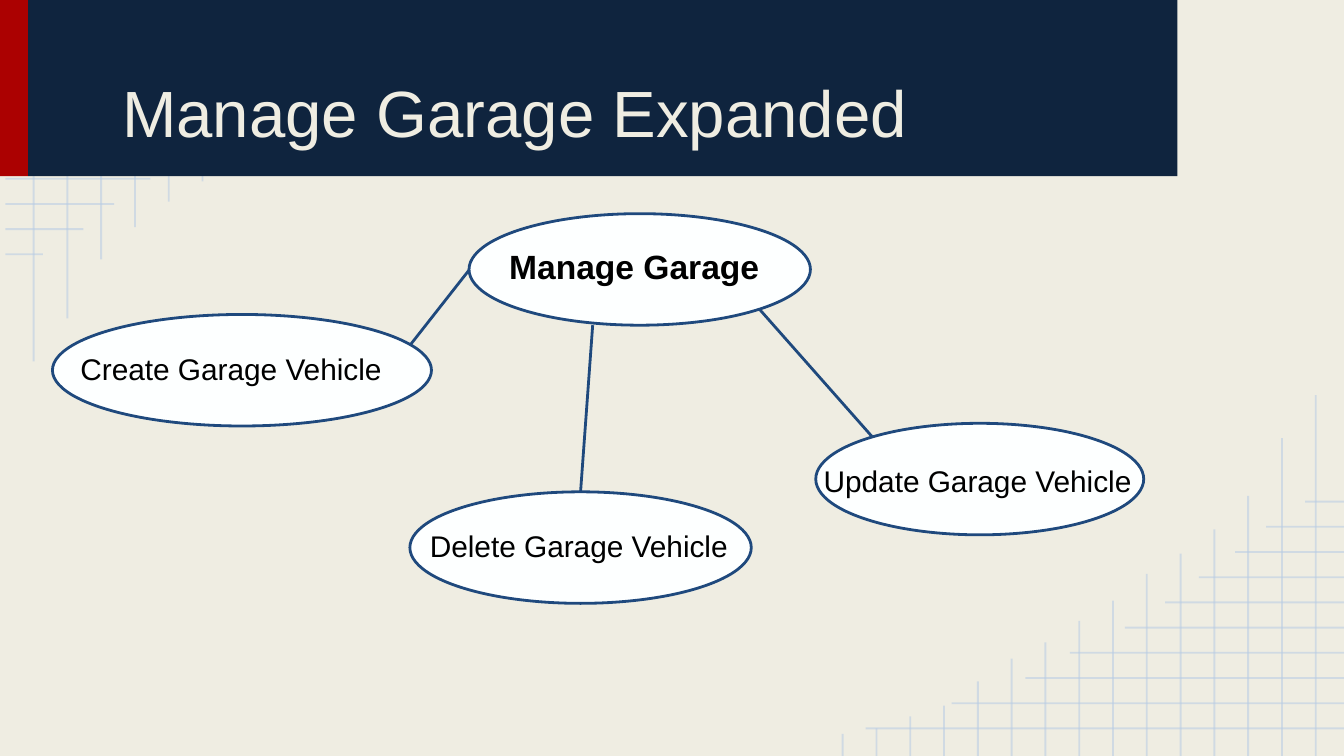
from lxml.etree import SubElement
from pptx import Presentation
from pptx.dml.color import RGBColor
from pptx.enum.shapes import MSO_CONNECTOR, MSO_SHAPE
from pptx.enum.text import MSO_ANCHOR
from pptx.oxml.ns import qn
from pptx.util import Inches, Pt

COLORS = {
    "background": "EFEDE2",
    "grid": "B7CCE4",
    "accent": "AB0101",
    "header": "0F243E",
    "bubble": "FDFFFF",
    "outline": "1F497D",
    "text": "000000",
}
WIDTH = 10
HEIGHT = WIDTH * 9 / 16
GRID_X = (9.79 - 6.27) / 14
GRID_Y = 3 / 16


class Canvas:
    font = "Arial"
    inset = 0.1

    def __init__(self, slide):
        self.slide = slide
        self.paint(slide.background.fill, "background")

    def paint(self, fill, color):
        fill.solid()
        fill.fore_color.rgb = RGBColor.from_string(COLORS[color])

    def shape(self, kind, box, fill, outline=None):
        shape = self.slide.shapes.add_shape(kind, *map(Inches, box))
        shape.shadow.inherit = False
        self.paint(shape.fill, fill)
        if outline:
            self.paint(shape.line.fill, outline)
            shape.line.width = Pt(1.5)
        else:
            shape.line.fill.background()

    def line(self, start, end, color="outline", width=1.5, opacity=None):
        connector = self.slide.shapes.add_connector(
            MSO_CONNECTOR.STRAIGHT, *map(Inches, (*start, *end)))
        self.paint(connector.line.fill, color)
        connector.line.width = Pt(width)
        properties = connector._element.spPr
        if opacity:
            color_element = next(properties.iter(qn("a:srgbClr")))
            SubElement(color_element, qn("a:alpha"), val=str(opacity * 1000))
        SubElement(properties, qn("a:effectLst"))

    def grid_line(self, start, end):
        self.line(start, end, "grid", 1, 54)

    def text(self, box, words, size, color="text", bold=False,
             indent=0, anchor=MSO_ANCHOR.TOP):
        frame = self.slide.shapes.add_textbox(*map(Inches, box)).text_frame
        frame.word_wrap = True
        frame.vertical_anchor = anchor
        frame.margin_left = Inches(self.inset + indent)
        frame.margin_right = frame.margin_top = frame.margin_bottom = Inches(self.inset)
        run = frame.paragraphs[0].add_run()
        run.text = words
        run.font.name = self.font
        run.font.size = Pt(size)
        run.font.bold = bold
        self.paint(run.font.fill, color)


presentation = Presentation()
presentation.slide_width = Inches(WIDTH)
presentation.slide_height = Inches(HEIGHT)
canvas = Canvas(presentation.slides.add_slide(presentation.slide_layouts[6]))

for row, right in enumerate([1.12, 0.85, 0.62, 0.32]):
    y = 1.33 + row * GRID_Y
    canvas.grid_line((0.04, y), (right, y))
for column, bottom in enumerate([2.69, 2.37, 1.93, 1.69, 1.5, 1.35]):
    x = 0.25 + column * GRID_X
    canvas.grid_line((x, bottom), (x, 0))

row_starts = [6.44, 7.08, 7.63, 7.96, 8.37, 8.67, 8.92, 9.19, 9.42, 9.71]
for row, left in enumerate(row_starts):
    y = 5.42 - row * GRID_Y
    canvas.grid_line((WIDTH, y), (left, y))
column_tops = [2.94, 3.26, 3.69, 3.94, 4.12, 4.27, 4.47, 4.62,
               4.78, 4.9, 5.07, 5.25, 5.33, 5.42, 5.46]
for column, top in enumerate(column_tops):
    x = 9.79 - column * GRID_X
    canvas.grid_line((x, top), (x, HEIGHT))

canvas.shape(MSO_SHAPE.RECTANGLE, (0, -0.01, 0.21, 1.32), "accent")
canvas.shape(MSO_SHAPE.RECTANGLE, (0.21, -0.01, 8.55, 1.32), "header")
canvas.text((0.5, 0.11, 8, 1.11), "Manage Garage Expanded", 35,
            "background", indent=0.31, anchor=MSO_ANCHOR.BOTTOM)

for left, top, width in [(3.49, 1.59, 2.54), (3.05, 3.66, 2.54),
                         (0.39, 2.34, 2.82), (6.07, 3.15, 2.44)]:
    canvas.shape(MSO_SHAPE.OVAL, (left, top, width, 0.83), "bubble", "outline")

for start, end in [((3.49, 2.01), (3.05, 2.57)),
                   ((4.41, 2.42), (4.32, 3.66)),
                   ((5.65, 2.3), (6.49, 3.25))]:
    canvas.line(start, end)

canvas.text((3.69, 1.73, 2.21, 0.5), "Manage Garage", 18, bold=True)
for action, box in [("Create", (0.5, 2.51, 2.6, 0.5)),
                    ("Delete", (3.1, 3.83, 2.45, 0.5)),
                    ("Update", (6.03, 3.34, 2.7, 0.44))]:
    canvas.text(box, f"{action} Garage Vehicle", 16)

presentation.save("out.pptx")
